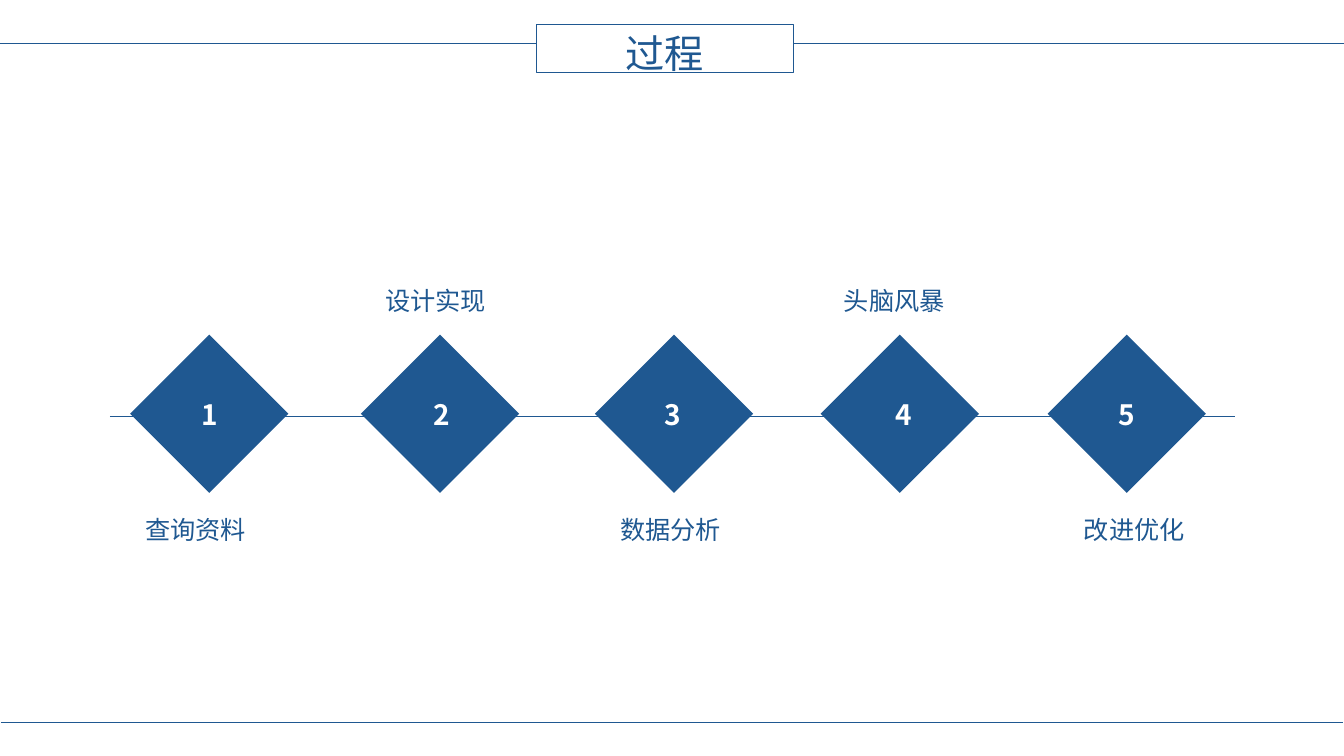
"""Build a five-step process slide with diamonds on a timeline."""
from lxml.etree import SubElement
from pptx import Presentation
from pptx.dml.color import RGBColor
from pptx.enum.shapes import MSO_CONNECTOR as Connector, MSO_SHAPE as Shape
from pptx.enum.text import MSO_ANCHOR as Anchor, PP_ALIGN as Align
from pptx.oxml.ns import qn
from pptx.util import Pt

PX = 9144
FONT = "Noto Sans CJK SC"
COLORS = {"blue": "1F5891", "white": "FFFFFF"}


def add_line(x1, x2, y):
    line = slide.shapes.add_connector(Connector.STRAIGHT, x1 * PX, y * PX, x2 * PX, y * PX)
    line.line.color.rgb = RGBColor.from_string(COLORS["blue"])
    line.line.width = Pt(0.5)
    SubElement(line._element.spPr, qn("a:effectLst"))


def write(shape, text, size, color, align, margins, wrap=True, bold=False):
    frame = shape.text_frame
    frame.text = text
    frame.word_wrap = wrap
    frame.vertical_anchor = Anchor.TOP
    frame.margin_left = frame.margin_right = margins[0] * PX
    frame.margin_top = frame.margin_bottom = margins[1] * PX
    paragraph = frame.paragraphs[0]
    paragraph.alignment = align
    run = paragraph.runs[0]
    run.font.name = FONT
    run.font.size = Pt(size)
    run.font.bold = bold
    run.font.color.rgb = RGBColor.from_string(COLORS[color])
    SubElement(run.font._element, qn("a:ea"), typeface=FONT)


presentation = Presentation()
presentation.slide_width = 1333 * PX
presentation.slide_height = 750 * PX
slide = presentation.slides.add_slide(presentation.slide_layouts[6])

add_line(109, 1225, 413)

DIAMOND_TOP, DIAMOND_SIZE = 332, 157
NUMBER_TOP = 389
LABEL_BELOW, LABEL_ABOVE = 505, 278
STEPS = [
    ("查询资料", 129, 189, 133),
    ("设计实现", 358, 419, 371),
    ("数据分析", 590, 648, 604),
    ("头脑风暴", 814, 877, 826),
    ("改进优化", 1039, 1099, 1064),
]
for number, (label, diamond_left, number_left, label_left) in enumerate(STEPS, 1):
    diamond = slide.shapes.add_shape(
        Shape.DIAMOND, diamond_left * PX, DIAMOND_TOP * PX, DIAMOND_SIZE * PX, DIAMOND_SIZE * PX)
    diamond.shadow.inherit = False
    diamond.fill.solid()
    diamond.fill.fore_color.rgb = RGBColor.from_string(COLORS["blue"])
    diamond.line.fill.background()

    number_box = slide.shapes.add_textbox(number_left * PX, NUMBER_TOP * PX, 38 * PX, 44 * PX)
    write(number_box, str(number), 20, "white", Align.CENTER, (10, 5), wrap=False, bold=True)

    label_top = LABEL_BELOW if number % 2 else LABEL_ABOVE
    label_box = slide.shapes.add_textbox(label_left * PX, label_top * PX, 133 * PX, 41 * PX)
    write(label_box, label, 18, "blue", Align.LEFT, (11, 5))

title = slide.shapes.add_shape(Shape.RECTANGLE, 532 * PX, 24 * PX, 255 * PX, 48 * PX)
title.shadow.inherit = False
title.fill.background()
title.line.color.rgb = RGBColor.from_string(COLORS["blue"])
title.line.width = Pt(0.75)
write(title, "过程", 28, "blue", Align.CENTER, (0, 0))
title.text_frame.paragraphs[0].line_spacing = 1.1

for start, end, y in [(0, 532, 43), (787, 1333, 43), (1, 1332, 717)]:
    add_line(start, end, y)

presentation.save("out.pptx")
